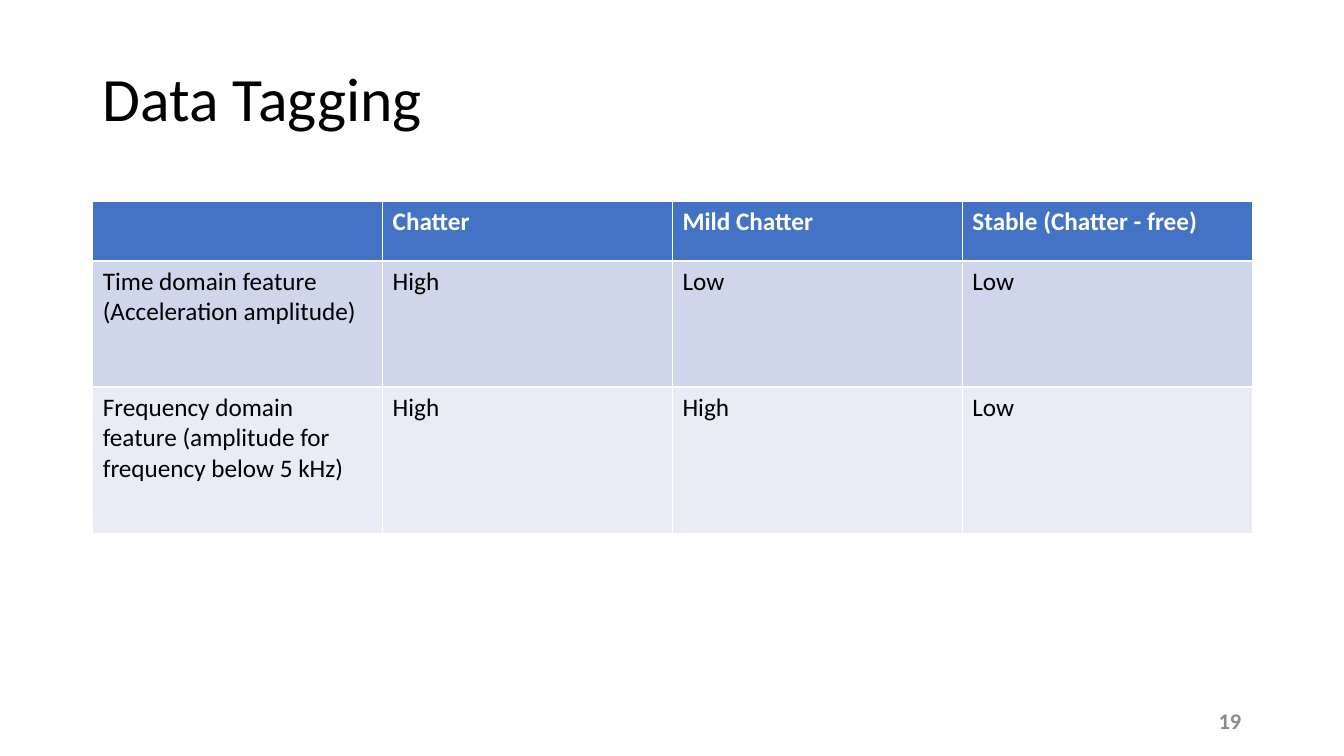
from pptx import Presentation
from pptx import util as u
from pptx.dml.color import RGBColor
from pptx.enum import text

BLACK = RGBColor(0x00, 0x00, 0x00)
WHITE = RGBColor(0xFF, 0xFF, 0xFF)
GRAY = RGBColor(0x8C, 0x8C, 0x8C)
BLUE = RGBColor(0x44, 0x72, 0xC4)
BAND_DARK = RGBColor(0xCF, 0xD5, 0xEA)
BAND_LIGHT = RGBColor(0xE9, 0xEB, 0xF5)

presentation = Presentation()
presentation.slide_width = u.Inches(13.33)
presentation.slide_height = u.Inches(7.5)
slide = presentation.slides.add_slide(presentation.slide_layouts[6])

margin = u.Inches(0.92)
content_width = u.Inches(11.5)


def add_run(paragraph, words, size, color, bold=False):
    run = paragraph.add_run()
    run.text = words
    run.font.name = "Calibri"
    run.font.size = u.Pt(size)
    run.font.bold = bold
    run.font.color.rgb = color


def add_label(left, top, width, height, words, size, color, bold=False):
    shape = slide.shapes.add_textbox(left, top, width, height)
    shape.text_frame.word_wrap = True
    shape.text_frame.vertical_anchor = text.MSO_ANCHOR.MIDDLE
    paragraph = shape.text_frame.paragraphs[0]
    add_run(paragraph, words, size, color, bold)
    return paragraph


title = add_label(margin, u.Inches(0.28), content_width, u.Inches(1.45),
                  "Data Tagging", 44, BLACK)
title.line_spacing = 0.9

tagging_rows = [
    (0.59, BLUE, WHITE, ["", "Chatter", "Mild Chatter", "Stable (Chatter - free)"]),
    (1.25, BAND_DARK, BLACK,
     ["Time domain feature (Acceleration amplitude)", "High", "Low", "Low"]),
    (1.45, BAND_LIGHT, BLACK,
     ["Frequency domain feature (amplitude for frequency below 5 kHz)",
      "High", "High", "Low"]),
]
table_height = u.Inches(sum(row[0] for row in tagging_rows))
table = slide.shapes.add_table(len(tagging_rows), 4, margin, u.Inches(2),
                               content_width, table_height).table

for row_index, (height, fill, color, labels) in enumerate(tagging_rows):
    table.rows[row_index].height = u.Inches(height)
    for column_index, label in enumerate(labels):
        cell = table.cell(row_index, column_index)
        cell.fill.solid()
        cell.fill.fore_color.rgb = fill
        if label:
            add_run(cell.text_frame.paragraphs[0], label, 18, color, row_index == 0)

page_number = add_label(u.Inches(11.9), u.Inches(6.95), u.Inches(0.51), u.Inches(0.4),
                        "19", 16, GRAY, True)
page_number.alignment = text.PP_ALIGN.RIGHT

presentation.save("out.pptx")
